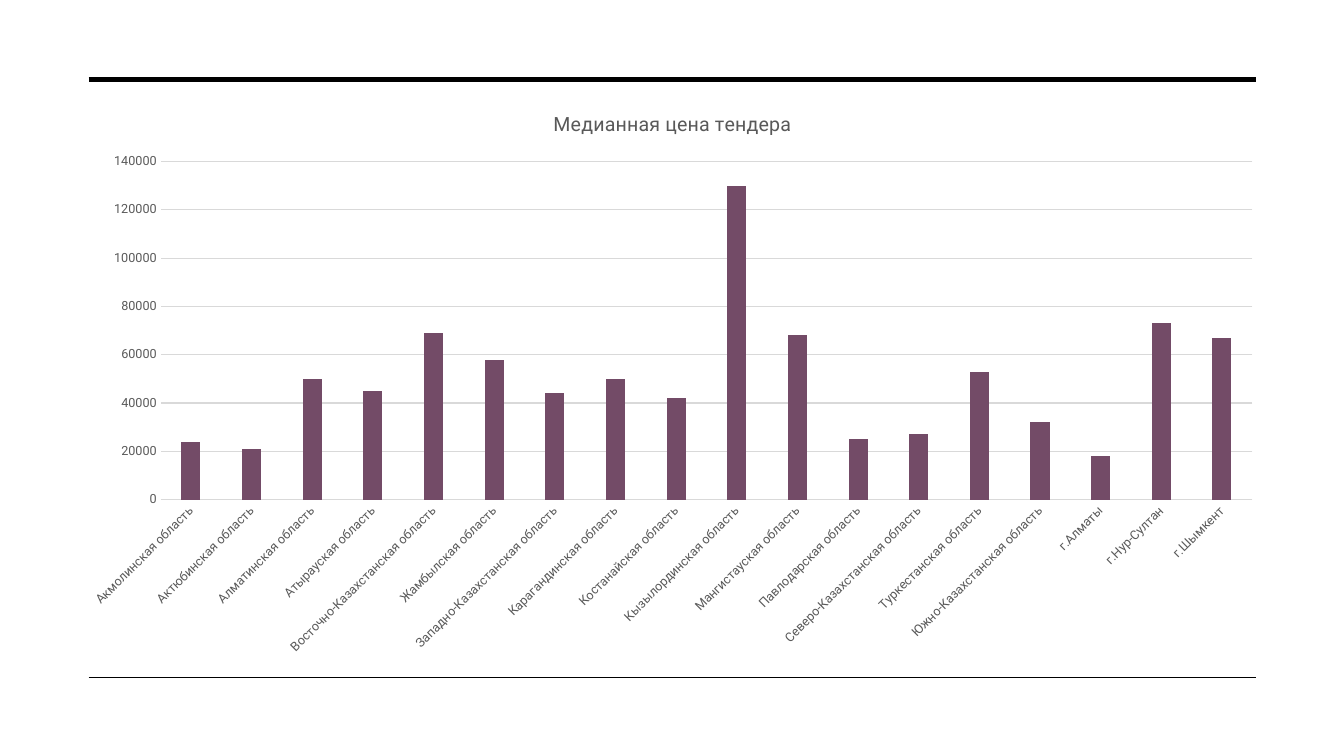
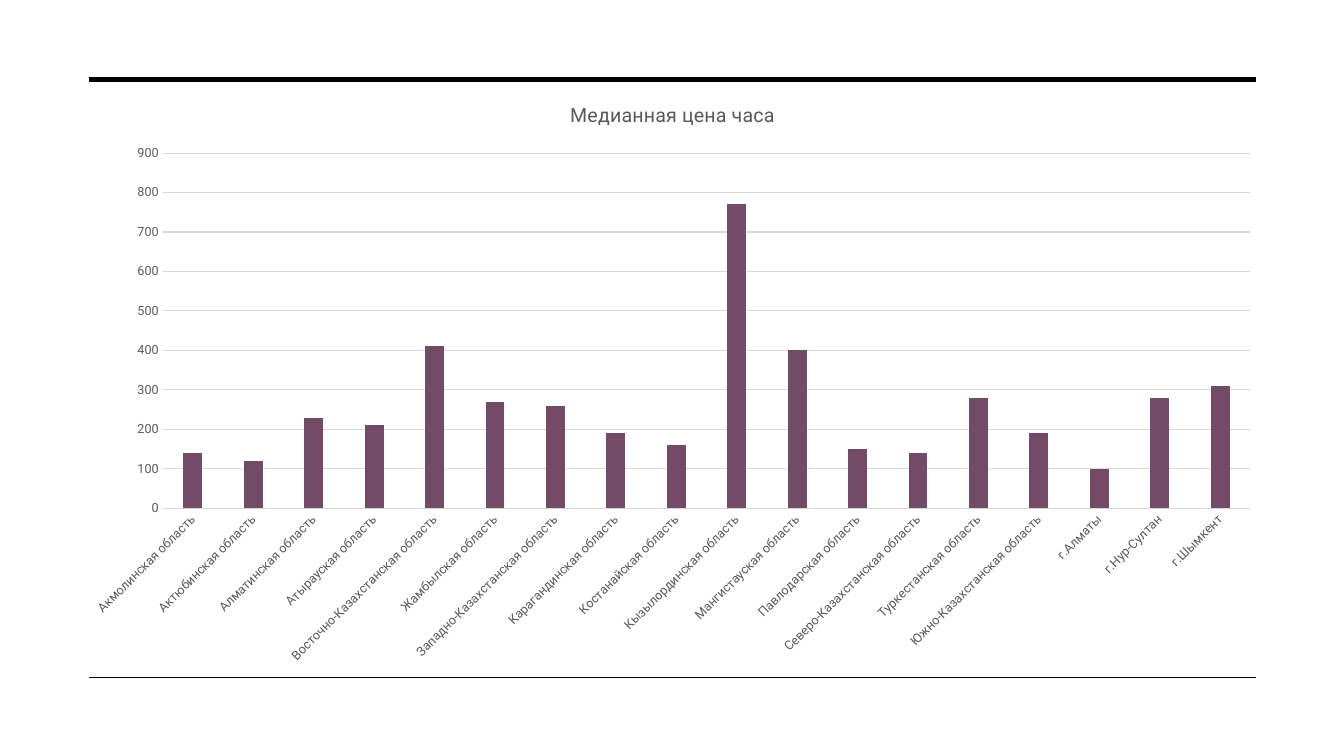
"""Two slides of median prices by region, each a column chart between two rules."""
from dataclasses import dataclass

import pptx
import pptx.chart.data
import pptx.dml.color
import pptx.enum.chart
import pptx.enum.shapes
import pptx.oxml.ns
import pptx.util
from lxml import etree

Inches = pptx.util.Inches
Pt = pptx.util.Pt


@dataclass(frozen=True)
class Theme:
    """Colours, font and type sizes that the slides share."""
    font: str = "Roboto"
    rule: str = "000000"
    text: str = "595959"
    grid: str = "D9D9D9"
    column: str = "734B67"
    title_size: float = 14
    label_size: float = 9
    grid_width: float = 0.75


THEME = Theme()
RULE_LEFT, RULE_RIGHT = 0.88, 12.46
RULES = [(0.79, 3.5), (6.72, 1)]

REGIONS = [
    "Акмолинская область", "Актюбинская область", "Алматинская область",
    "Атырауская область", "Восточно-Казахстанская область",
    "Жамбылская область", "Западно-Казахстанская область",
    "Карагандинская область", "Костанайская область",
    "Кызылординская область", "Мангистауская область",
    "Павлодарская область", "Северо-Казахстанская область",
    "Туркестанская область", "Южно-Казахстанская область",
    "г.Алматы", "г.Нур-Султан", "г.Шымкент",
]
TENDER_PRICES = [
    24000, 21000, 50000, 45000, 69000, 58000, 44000, 50000, 42000,
    130000, 68000, 25000, 27000, 53000, 32000, 18000, 73000, 67000,
]
HOUR_PRICES = [
    140, 120, 230, 210, 410, 270, 260, 190, 160,
    770, 400, 150, 140, 280, 190, 100, 280, 310,
]


def rgb(value):
    """Return the colour for a hex string."""
    return pptx.dml.color.RGBColor.from_string(value)


def style_font(font, size):
    """Give chart text its font, size and colour."""
    font.name = THEME.font
    font.size = Pt(size)
    font.bold = False
    font.color.rgb = rgb(THEME.text)


def style_line(line, color, width):
    """Give a line its colour and width in points."""
    line.color.rgb = rgb(color)
    line.width = Pt(width)


def add_rule(s, y, width):
    """Draw a horizontal rule across the content width."""
    rule = s.shapes.add_connector(
        pptx.enum.shapes.MSO_CONNECTOR.STRAIGHT,
        Inches(RULE_LEFT), Inches(y), Inches(RULE_RIGHT), Inches(y))
    style_line(rule.line, THEME.rule, width)
    etree.SubElement(rule._element.spPr, pptx.oxml.ns.qn("a:effectLst"))


def style_axis(axis):
    """Remove tick marks and style the labels of an axis."""
    axis.major_tick_mark = pptx.enum.chart.XL_TICK_MARK.NONE
    axis.minor_tick_mark = pptx.enum.chart.XL_TICK_MARK.NONE
    style_font(axis.tick_labels.font, THEME.label_size)


def add_column_chart(s, box, title, values, top, step):
    """Add a titled column chart of one value per region."""
    data = pptx.chart.data.CategoryChartData(number_format="General")
    data.categories = REGIONS
    data.add_series(title, values)
    chart = s.shapes.add_chart(
        pptx.enum.chart.XL_CHART_TYPE.COLUMN_CLUSTERED,
        *map(Inches, box), data).chart
    style_font(chart.font, THEME.label_size)
    chart.has_legend = False

    chart.has_title = True
    p = chart.chart_title.text_frame.paragraphs[0]
    p.text = title
    style_font(p.font, THEME.title_size)
    chart.chart_title.include_in_layout = False

    style_axis(chart.category_axis)
    style_line(chart.category_axis.format.line, THEME.grid, THEME.grid_width)
    chart.category_axis._element.txPr.bodyPr.set("rot", str(-45 * 60000))

    axis = chart.value_axis
    style_axis(axis)
    axis.format.line.fill.background()
    axis.minimum_scale, axis.maximum_scale, axis.major_unit = 0, top, step
    style_line(axis.major_gridlines.format.line, THEME.grid, THEME.grid_width)

    plot = chart.plots[0]
    plot.gap_width, plot.overlap = 219, -27
    plot.vary_by_categories = False
    fill = plot.series[0].format.fill
    fill.solid()
    fill.fore_color.rgb = rgb(THEME.column)


def add_chart_slide(prs, *chart):
    """Add a blank slide with its rules and one column chart."""
    s = prs.slides.add_slide(prs.slide_layouts[6])
    for y, width in RULES:
        add_rule(s, y, width)
    add_column_chart(s, *chart)


def main():
    """Build and save the presentation."""
    prs = pptx.Presentation()
    prs.slide_width, prs.slide_height = Inches(13.33), Inches(7.5)
    add_chart_slide(prs, (0.68, 0.89, 11.98, 5.72),
                    "Медианная цена тендера", TENDER_PRICES, 140000, 20000)
    add_chart_slide(prs, (0.7, 0.8, 11.94, 5.9),
                    "Медианная цена часа", HOUR_PRICES, 900, 100)
    prs.save("out.pptx")


if __name__ == "__main__":
    main()
